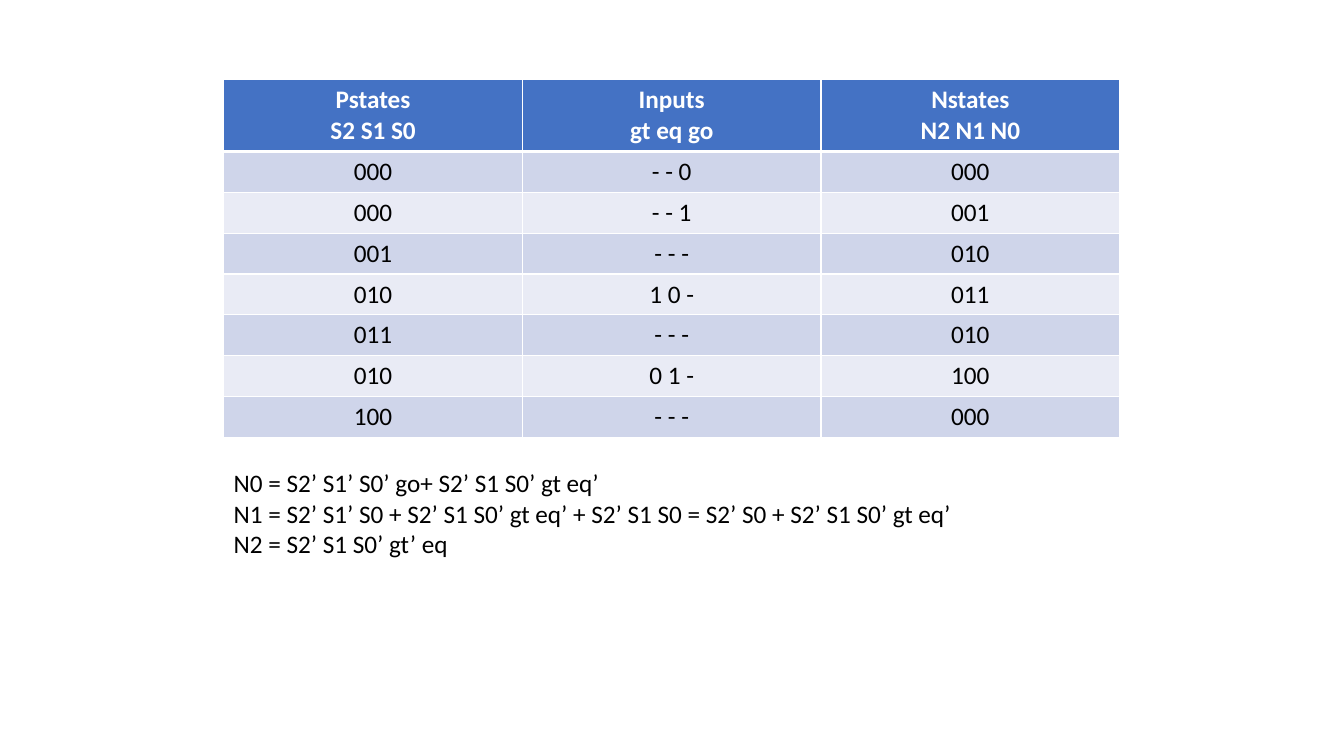
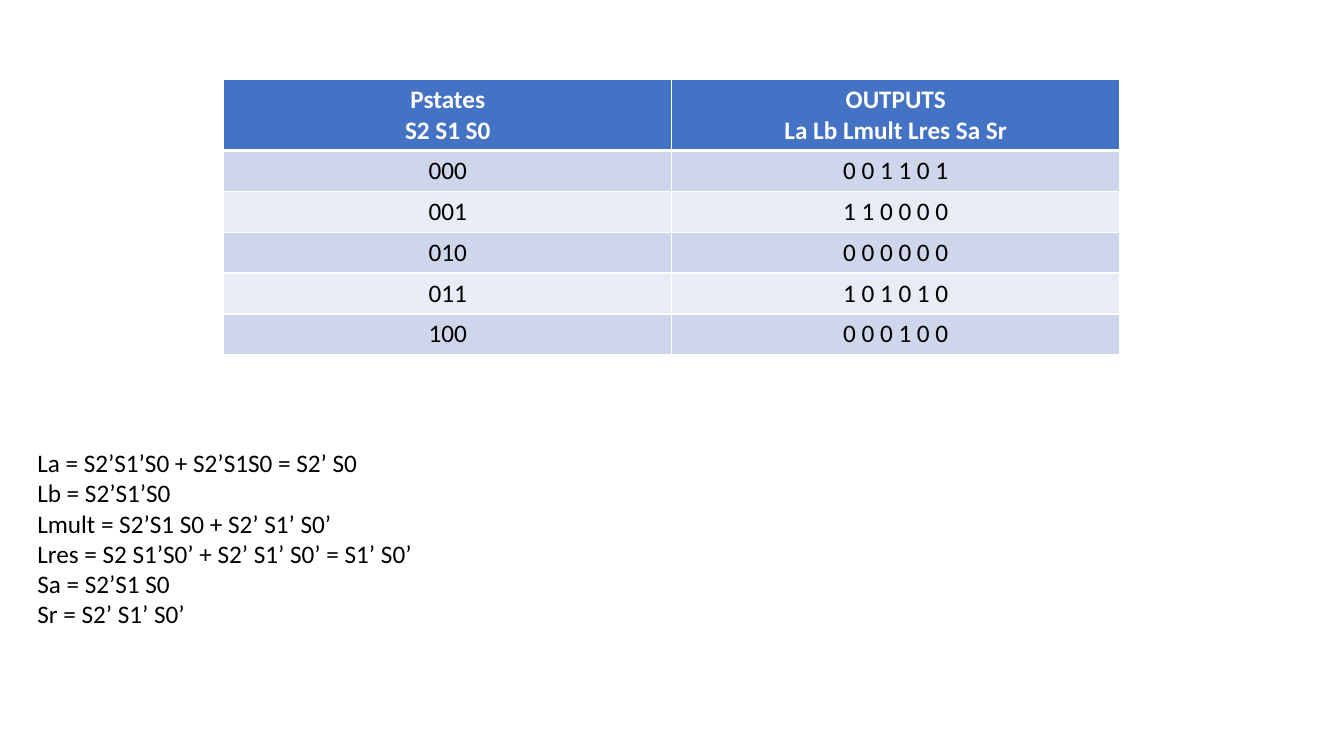
from dataclasses import dataclass

from lxml import etree
from pptx import Presentation
from pptx.dml.color import RGBColor
from pptx.enum.text import MSO_AUTO_SIZE, PP_ALIGN
from pptx.oxml.ns import qn
from pptx.util import Cm, Pt

CENTER, LEFT = PP_ALIGN.CENTER, PP_ALIGN.LEFT
GROW = MSO_AUTO_SIZE.SHAPE_TO_FIT_TEXT


@dataclass(frozen=True)
class Theme:
    font: str = "Calibri"
    size: int = 18
    text: str = "000000"
    header_text: str = "FFFFFF"
    header_fill: str = "4472C4"
    row_fills: tuple = ("CFD5EA", "E9EBF5")
    border: str = "FFFFFF"
    border_width: int = 1
    header_rule: int = 3


THEME = Theme()
TABLE_LEFT, TABLE_TOP, TABLE_WIDTH = Cm(5.64), Cm(2.01), Cm(22.58)
HEADER_HEIGHT, ROW_HEIGHT = Cm(1.78), Cm(1.03)


def write_lines(frame, lines, color, align, bold=False):
    for index, line in enumerate(lines):
        paragraph = frame.paragraphs[0] if index == 0 else frame.add_paragraph()
        paragraph.alignment = align
        run = paragraph.add_run()
        run.text = line
        run.font.name = THEME.font
        run.font.size = Pt(THEME.size)
        run.font.bold = bold
        run.font.color.rgb = RGBColor.from_string(color)


def add_borders(cell, top, bottom):
    properties = cell._tc.get_or_add_tcPr()
    widths = {"L": THEME.border_width, "R": THEME.border_width, "T": top, "B": bottom}
    for side, width in widths.items():
        line = etree.SubElement(properties, qn(f"a:ln{side}"), w=str(Pt(width)))
        fill = etree.SubElement(line, qn("a:solidFill"))
        etree.SubElement(fill, qn("a:srgbClr"), val=THEME.border)


pages = [
    {
        "header": ["Pstates\nS2 S1 S0", "Inputs\ngt eq go", "Nstates\nN2 N1 N0"],
        "states": [
            ["000", "- - 0", "000"],
            ["000", "- - 1", "001"],
            ["001", "- - -", "010"],
            ["010", "1 0 -", "011"],
            ["011", "- - -", "010"],
            ["010", "0 1 -", "100"],
            ["100", "- - -", "000"],
        ],
        "equations": [
            "N0 = S2’ S1’ S0’ go+ S2’ S1 S0’ gt eq’",
            "N1 = S2’ S1’ S0 + S2’ S1 S0’ gt eq’ + S2’ S1 S0 = S2’ S0 + S2’ S1 S0’ gt eq’",
            "N2 = S2’ S1 S0’ gt’ eq",
        ],
        "equations_box": (TABLE_LEFT, Cm(11.66), Cm(18.97), Cm(4.88)),
    },
    {
        "header": ["Pstates\nS2 S1 S0", "OUTPUTS\nLa Lb Lmult Lres Sa Sr"],
        "states": [
            ["000", "0 0 1 1 0 1"],
            ["001", "1 1 0 0 0 0"],
            ["010", "0 0 0 0 0 0"],
            ["011", "1 0 1 0 1 0"],
            ["100", "0 0 0 1 0 0"],
        ],
        "equations": [
            "La = S2’S1’S0 + S2’S1S0 = S2’ S0",
            "Lb = S2’S1’S0",
            "Lmult = S2’S1 S0 + S2’ S1’ S0’",
            "Lres = S2 S1’S0’ + S2’ S1’ S0’ = S1’ S0’",
            "Sa = S2’S1 S0",
            "Sr = S2’ S1’ S0’",
        ],
        "equations_box": (Cm(0.69), Cm(11.15), Cm(32.99), Cm(4.88)),
    },
]

deck = Presentation()
deck.slide_width, deck.slide_height = Cm(33.87), Cm(19.05)
blank = deck.slide_layouts[6]

for page in pages:
    slide = deck.slides.add_slide(blank)
    rows = [page["header"], *page["states"]]
    height = HEADER_HEIGHT + ROW_HEIGHT * len(page["states"])
    state_table = slide.shapes.add_table(
        len(rows), len(page["header"]), TABLE_LEFT, TABLE_TOP, TABLE_WIDTH, height
    ).table

    for row_index, values in enumerate(rows):
        is_header = row_index == 0
        state_table.rows[row_index].height = HEADER_HEIGHT if is_header else ROW_HEIGHT
        fill = THEME.header_fill if is_header else THEME.row_fills[(row_index - 1) % 2]
        color = THEME.header_text if is_header else THEME.text
        top = THEME.header_rule if row_index == 1 else THEME.border_width
        bottom = THEME.header_rule if is_header else THEME.border_width
        for column, value in enumerate(values):
            cell = state_table.cell(row_index, column)
            add_borders(cell, top, bottom)
            cell.fill.solid()
            cell.fill.fore_color.rgb = RGBColor.from_string(fill)
            write_lines(cell.text_frame, value.split("\n"), color, CENTER, is_header)

    equations = slide.shapes.add_textbox(*page["equations_box"]).text_frame
    equations.word_wrap = True
    equations.auto_size = GROW
    write_lines(equations, page["equations"], THEME.text, LEFT)

deck.save("out.pptx")
